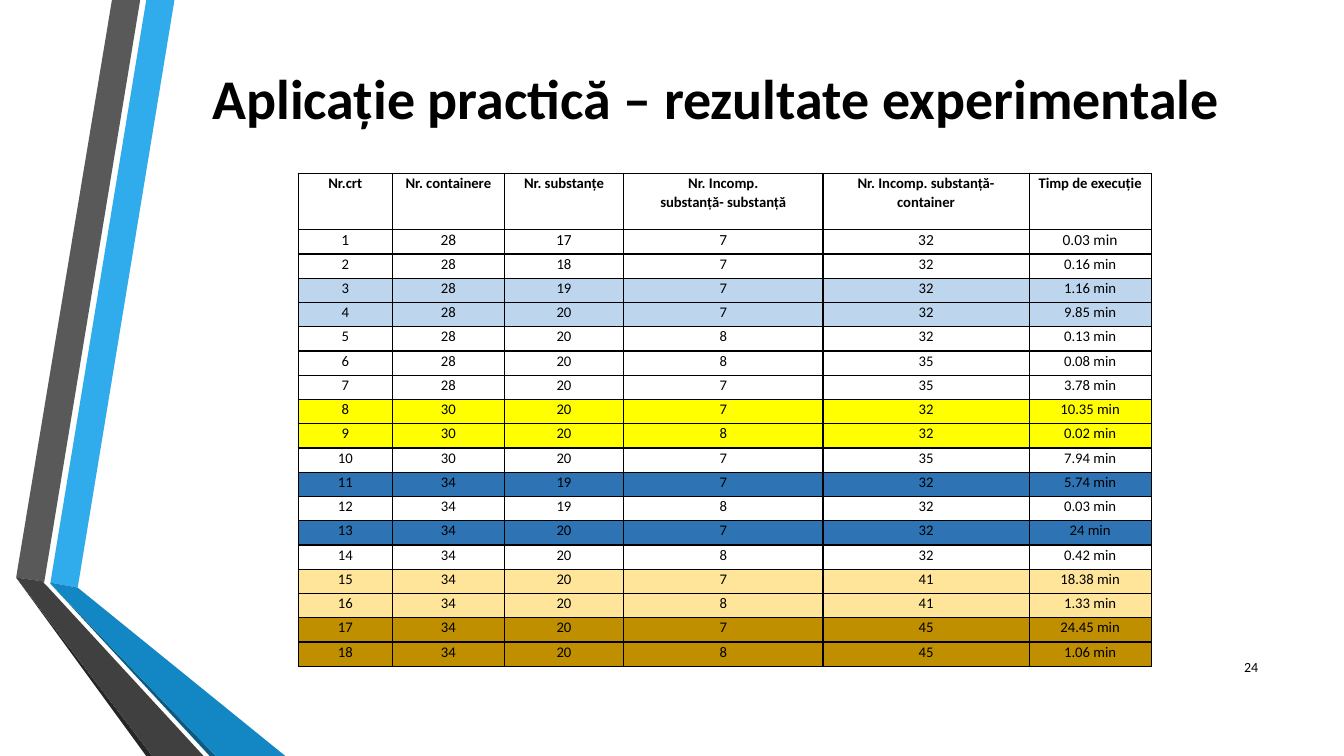
import lxml.etree
import pptx
import pptx.dml.color
import pptx.enum.text
import pptx.oxml.ns
import pptx.util

ALIGN = pptx.enum.text.PP_ALIGN
MIDDLE = pptx.enum.text.MSO_ANCHOR.MIDDLE


def colour(value):
    return pptx.dml.color.RGBColor.from_string(value)


class SlidePainter:
    """Holds the style and the slide; lengths are percentages of the slide."""

    font = "Calibri"
    ink = "000000"

    def __init__(self, deck):
        self.deck = deck
        self.page = deck.slides.add_slide(deck.slide_layouts[5])

    def across(self, share):
        return round(self.deck.slide_width * share / 100)

    def down(self, share):
        return round(self.deck.slide_height * share / 100)

    def area(self, left, top, width, height):
        return self.across(left), self.down(top), self.across(width), self.down(height)

    def set_text(self, frame, text, size, bold=False, align=ALIGN.CENTER, spacing=None):
        frame.text = text
        frame.word_wrap = True
        for para in frame.paragraphs:
            para.alignment = align
            if spacing:
                para.line_spacing = spacing
            for span in para.runs:
                span.font.name = self.font
                span.font.size = pptx.util.Pt(size)
                span.font.bold = bold
                span.font.color.rgb = colour(self.ink)

    def ribbon(self, fill, points):
        start, *others = [(self.across(x), self.down(y)) for x, y in points]
        builder = self.page.shapes.build_freeform(*start)
        builder.add_line_segments(others, close=True)
        shape = builder.convert_to_shape()
        shape.shadow.inherit = False
        shape.fill.solid()
        shape.fill.fore_color.rgb = colour(fill)
        shape.line.fill.background()

    def title(self, text, area, size):
        box = self.page.shapes.title
        box.left, box.top, box.width, box.height = self.area(*area)
        box.text_frame.vertical_anchor = MIDDLE
        self.set_text(box.text_frame, text, size, bold=True)

    def label(self, text, area, size, align):
        box = self.page.shapes.add_textbox(*self.area(*area))
        box.text_frame.vertical_anchor = MIDDLE
        self.set_text(box.text_frame, text, size, align=align)

    def border(self, cell):
        properties = cell._tc.get_or_add_tcPr()
        qn = pptx.oxml.ns.qn
        for side in ("a:lnL", "a:lnR", "a:lnT", "a:lnB"):
            line = lxml.etree.SubElement(properties, qn(side), w=str(pptx.util.Pt(1)))
            solid = lxml.etree.SubElement(line, qn("a:solidFill"))
            lxml.etree.SubElement(solid, qn("a:srgbClr"), val=self.ink)

    def cell(self, cell, text, size, bold, fill):
        cell.margin_left = cell.margin_right = pptx.util.Inches(0.06)
        cell.margin_top = cell.margin_bottom = 0
        self.set_text(cell.text_frame, text, size, bold, spacing=1.07)
        self.border(cell)
        if fill:
            cell.fill.solid()
            cell.fill.fore_color.rgb = colour(fill)
        else:
            cell.fill.background()

    def table(self, left, top, widths, header_height, row_height, rows, fills):
        height = header_height + row_height * (len(rows) - 1)
        frame = self.page.shapes.add_table(
            len(rows), len(widths), *self.area(left, top, sum(widths), height))
        table = frame.table
        table.first_row = table.horz_banding = False
        for column, width in zip(table.columns, widths):
            column.width = self.across(width)
        for number, values in enumerate(rows):
            header = number == 0
            table.rows[number].height = self.down(header_height if header else row_height)
            for index, value in enumerate(values):
                # The first result row has slightly larger type
                size = 11 if number == 1 else 10.5
                self.cell(table.cell(number, index), value, size, header, fills.get(number))


RIBBONS = [
    ("30ACEC", [(3.75, 77.07), (5.78, 77.73), (12.98, 0), (10.88, 0)]),
    ("595959", [(10.43, 0), (8.33, 0), (1.2, 76.4), (3.3, 76.93)]),
    ("262626", [(1.2, 76.4), (10.88, 100), (11.33, 100)]),
    ("0C5A82", [(3.75, 77.2), (15.6, 100), (16.05, 100)]),
    ("1287C3", [(3.75, 77.2), (16.05, 100), (21.23, 100), (5.78, 77.73), (3.75, 77.07)]),
    ("404040", [(15.15, 100), (3.6, 77.73), (3.23, 77.07), (3.3, 76.93),
                (1.2, 76.4), (11.33, 100)]),
]

HEADINGS = ["Nr.crt", "Nr. containere", "Nr. substanțe",
            "Nr. Incomp.\nsubstanță- substanță",
            "Nr. Incomp. substanță- container", "Timp de execuție"]

# Containers, substances, both incompatibility counts, minutes
RESULTS = [
    (28, 17, 7, 32, "0.03"), (28, 18, 7, 32, "0.16"), (28, 19, 7, 32, "1.16"),
    (28, 20, 7, 32, "9.85"), (28, 20, 8, 32, "0.13"), (28, 20, 8, 35, "0.08"),
    (28, 20, 7, 35, "3.78"), (30, 20, 7, 32, "10.35"), (30, 20, 8, 32, "0.02"),
    (30, 20, 7, 35, "7.94"), (34, 19, 7, 32, "5.74"), (34, 19, 8, 32, "0.03"),
    (34, 20, 7, 32, "24"), (34, 20, 8, 32, "0.42"), (34, 20, 7, 41, "18.38"),
    (34, 20, 8, 41, "1.33"), (34, 20, 7, 45, "24.45"), (34, 20, 8, 45, "1.06"),
]

HIGHLIGHTS = {"BDD6EE": (3, 4), "FFFF00": (8, 9), "2E74B5": (11, 13),
              "FFE599": (15, 16), "BF8F00": (17, 18)}


def main():
    deck = pptx.Presentation()
    deck.slide_width = pptx.util.Inches(13.33)
    deck.slide_height = pptx.util.Inches(7.5)
    painter = SlidePainter(deck)

    # Folded ribbons on the left
    for fill, points in RIBBONS:
        painter.ribbon(fill, points)

    # Title and page number
    painter.title("Aplicație practică – rezultate experimentale",
                  (12.15, 0, 82.2, 25.6), 40)
    painter.label("24", (89.85, 85.6, 4.5, 5.33), 10, ALIGN.RIGHT)

    # Results table
    rows = [HEADINGS]
    for number, (*counts, minutes) in enumerate(RESULTS, 1):
        rows.append([str(number), *map(str, counts), f"{minutes} min"])
    fills = {number: fill for fill, numbers in HIGHLIGHTS.items() for number in numbers}
    painter.table(22.2, 22.93, [6.98, 8.36, 8.85, 14.85, 15.34, 9.08],
                  7.47, 3.21, rows, fills)

    deck.save("out.pptx")


if __name__ == "__main__":
    main()
